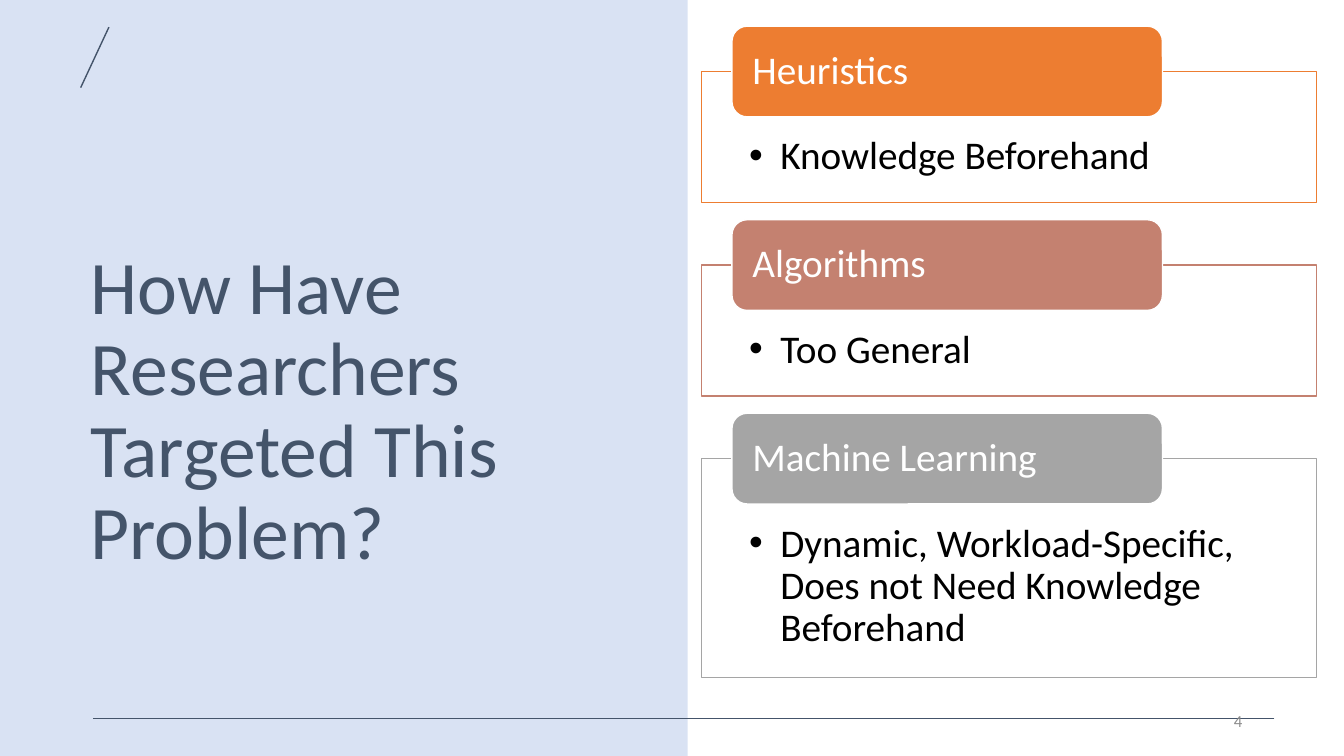
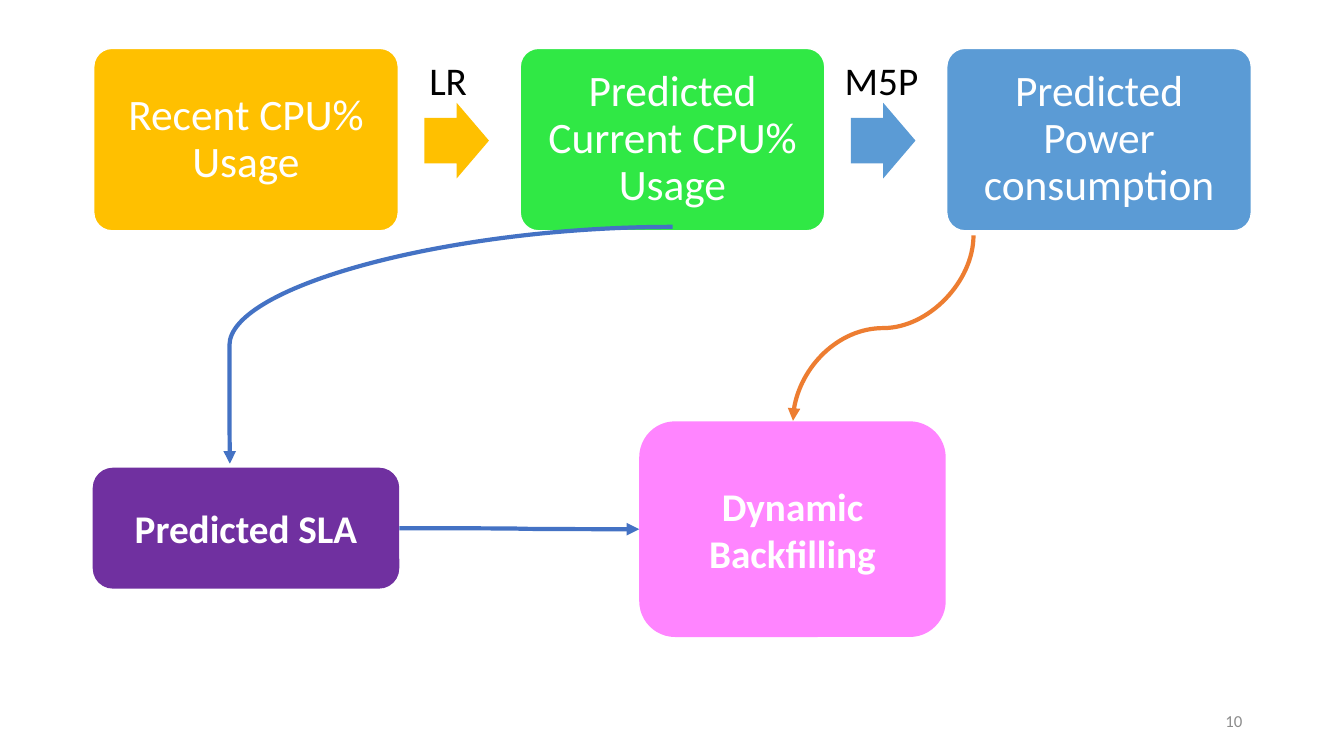
from lxml import etree
from pptx import Presentation
from pptx.dml.color import RGBColor
from pptx.enum.shapes import MSO_CONNECTOR, MSO_SHAPE
from pptx.enum.text import MSO_ANCHOR, MSO_AUTO_SIZE, PP_ALIGN
from pptx.oxml.ns import qn
from pptx.util import Pt

PX = 9144  # 100 px to the inch
RECT, ROUND, ARROW = MSO_SHAPE.RECTANGLE, MSO_SHAPE.ROUNDED_RECTANGLE, MSO_SHAPE.RIGHT_ARROW
LINE, CURVE = MSO_CONNECTOR.STRAIGHT, MSO_CONNECTOR.CURVE
LEFT, MID, RIGHT = PP_ALIGN.LEFT, PP_ALIGN.CENTER, PP_ALIGN.RIGHT
TOP, CENTER = MSO_ANCHOR.TOP, MSO_ANCHOR.MIDDLE
FONT = "Calibri"
WHITE, BLACK, SLATE, GRAY = "FFFFFF", "000000", "44546A", "8C8C8C"
BLUE, SKY, ORANGE, GOLD = "4472C4", "5B9BD5", "ED7D31", "FFC000"
hue = RGBColor.from_string


def box(slide, kind, at, fill, edge=None):
    shape = slide.shapes.add_shape(kind, *[n * PX for n in at])
    shape.shadow.inherit = False
    shape.fill.solid()
    shape.fill.fore_color.rgb = hue(fill)
    if edge:
        shape.line.color.rgb = hue(edge)
        shape.line.width = Pt(1)
    else:
        shape.line.fill.background()
    return shape


def write(shape, text, size, color, align=LEFT, anchor=CENTER, pad=(10, 5, 10, 5),
          space=1.0, bold=False, wrap=True):
    frame = shape.text_frame
    frame.word_wrap = wrap
    frame.auto_size = MSO_AUTO_SIZE.NONE
    frame.vertical_anchor = anchor
    (frame.margin_left, frame.margin_top,
     frame.margin_right, frame.margin_bottom) = [n * PX for n in pad]
    para = frame.paragraphs[0]
    para.alignment = align
    para.line_spacing = space
    run = para.add_run()
    run.text = text
    run.font.name = FONT
    run.font.size = Pt(size)
    run.font.bold = bold
    run.font.color.rgb = hue(color)
    return para


deck = Presentation()
deck.slide_width, deck.slide_height = 1333 * PX, 750 * PX
topic = deck.slides.add_slide(deck.slide_layouts[5])
flow = deck.slides.add_slide(deck.slide_layouts[6])

# Tinted panel behind the title
panel = box(topic, RECT, (0, 0, 682, 750), BLUE)
tint = panel.fill._xPr.find(qn("a:solidFill"))[0]
etree.SubElement(tint, qn("a:alpha")).set("val", "20000")
topic.shapes._spTree.insert(2, panel._element)

# Title
title = topic.shapes.title
title.left, title.top, title.width, title.height = [n * PX for n in (80, 128, 533, 562)]
write(title, "How Have Researchers Targeted This Problem?", 54, SLATE, space=0.9)

# Cards with a heading tab, one every 192 px
cards = [
    ("Heuristics", "Knowledge Beforehand", ORANGE, 130),
    ("Algorithms", "Too General", "C48170", 130),
    ("Machine Learning", "Dynamic, Workload-Specific, Does not Need Knowledge Beforehand",
     "A5A5A5", 217),
]
for i, (head, note, color, tall) in enumerate(cards):
    top = 26 + 192 * i
    card = box(topic, RECT, (696, top + 45, 610, tall), WHITE, color)
    para = write(card, note, 28, BLACK, anchor=TOP, pad=(47, 64, 47, 22), space=0.9)
    props = para._p.get_or_add_pPr()
    props.set("marL", str(31 * PX))
    props.set("indent", str(-31 * PX))
    etree.SubElement(props, qn("a:buFont")).set("typeface", "Arial")
    etree.SubElement(props, qn("a:buChar")).set("char", "•")
    tab = box(topic, ROUND, (726, top, 427, 90), color, WHITE)
    write(tab, head, 28, WHITE, pad=(16, 0, 16, 0), space=0.9)

# Prediction steps, one every 423 px, with an arrow after all but the last
steps = [
    ("Recent CPU% Usage", GOLD, GOLD),
    ("Predicted Current CPU% Usage", "30E845", SKY),
    ("Predicted Power consumption", SKY, None),
]
for i, (text, color, next_hue) in enumerate(steps):
    left = 93 + 423 * i
    step = box(flow, ROUND, (left, 48, 302, 181), color, WHITE)
    step.adjustments[0] = 0.1
    write(step, text, 31, WHITE, MID, pad=(13, 13, 13, 13), space=0.9)
    if next_hue:
        arrow = box(flow, ARROW, (left + 328, 102, 64, 75), next_hue)
        arrow.adjustments[0] = 0.6

# Model names above the arrows
for text, left, wide in (("LR", 416, 63), ("M5P", 828, 107)):
    label = flow.shapes.add_textbox(left * PX, 51 * PX, wide * PX, 57 * PX)
    write(label, text, 28, BLACK, anchor=TOP, wrap=False)

# Outcome boxes
fill_box = box(flow, ROUND, (634, 418, 304, 214), "FF85FF")
write(fill_box, "Dynamic Backfilling", 28, WHITE, MID, bold=True)
sla = box(flow, ROUND, (92, 464, 304, 120), "7030A0")
write(sla, "Predicted SLA", 28, WHITE, MID, bold=True)

# Rules and arrows: slide, kind, ends, colour, width, turn, bend, joined shapes
links = [
    (topic, LINE, (108, 27, 80, 87), SLATE, 1, 0, None, None),
    (topic, LINE, (1264, 713, 92, 713), SLATE, 1, 0, None, None),
    (flow, CURVE, (784, 236, 968, 415), ORANGE, 3, 90, None, None),
    (flow, CURVE, (396, 525, 634, 526), BLUE, 3, 0, None, (sla, fill_box)),
    (flow, CURVE, (228, 460, 667, 225), BLUE, 3, 180, 100100, None),
]
for slide, kind, ends, color, width, turn, bend, pair in links:
    link = slide.shapes.add_connector(kind, *[n * PX for n in ends])
    link.line.color.rgb = hue(color)
    link.line.width = Pt(width)
    props = link._element.spPr
    if pair:
        link.begin_connect(pair[0], 3)
        link.end_connect(pair[1], 1)
    if turn:
        props.find(qn("a:xfrm")).set("rot", str(turn * 60000))
    if bend:
        guide = etree.SubElement(props.find(qn("a:prstGeom")).find(qn("a:avLst")), qn("a:gd"))
        guide.set("name", "adj1")
        guide.set("fmla", f"val {bend}")
    if kind == CURVE:
        etree.SubElement(props.find(qn("a:ln")), qn("a:tailEnd")).set("type", "triangle")
    etree.SubElement(props, qn("a:effectLst"))

# Page numbers
for slide, page in ((topic, "4"), (flow, "10")):
    foot = slide.shapes.add_textbox(942 * PX, 695 * PX, 300 * PX, 40 * PX)
    write(foot, page, 12, GRAY, RIGHT)

deck.save("out.pptx")
